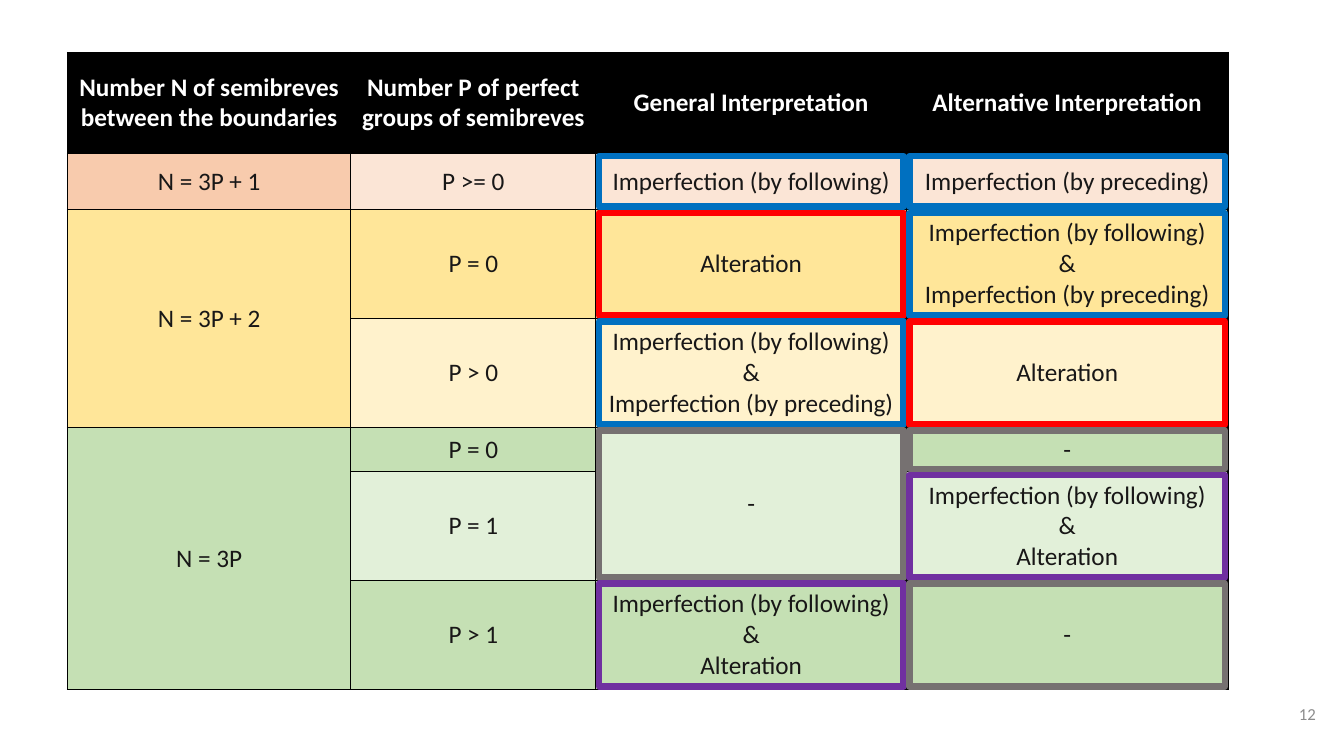
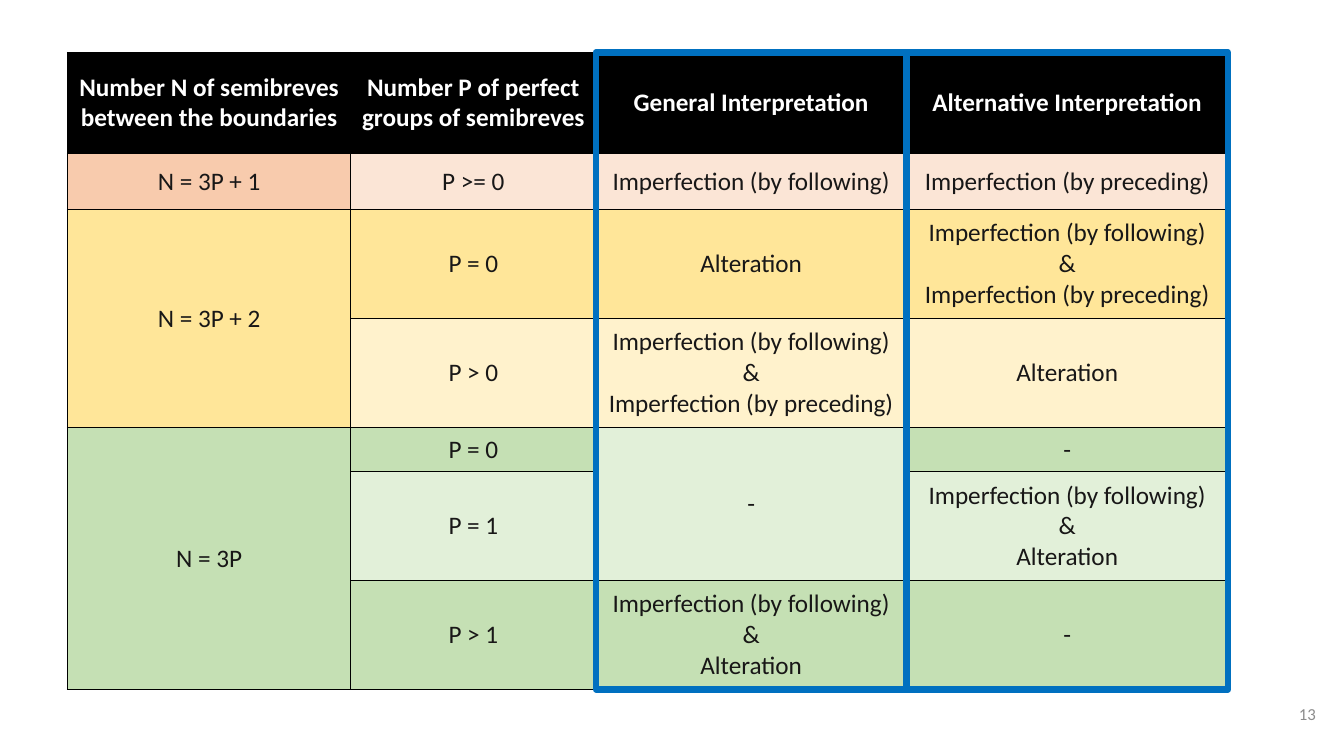
"""Build two slides on the interpretation of semibreve groups."""
from itertools import accumulate

from lxml import etree
from pptx import Presentation
from pptx.dml.color import RGBColor
from pptx.enum.shapes import MSO_SHAPE
from pptx.enum.text import MSO_ANCHOR, PP_ALIGN
from pptx.oxml.ns import qn
from pptx.util import Inches, Pt

RECT = MSO_SHAPE.RECTANGLE
MIDDLE = MSO_ANCHOR.MIDDLE
CENTER, RIGHT = PP_ALIGN.CENTER, PP_ALIGN.RIGHT

HUES = {
    "black": "000000", "white": "FFFFFF", "ink": "181717", "number": "8C8C8C",
    "peach": "F8CBAD", "blush": "FBE5D6", "gold": "FFE699", "cream": "FFF2CC",
    "green": "C5E0B4", "mint": "E2F0D9",
    "blue": "0070C0", "red": "FF0000", "purple": "7030A0", "gray": "767171",
}
LEFT, TOP = 0.67, 0.52
COLS = [2.81, 2.43, 3.08, 3.19]
ROWS = [1, 0.56, 1.08, 1.08, 0.44, 1.08, 1.08]
XS = list(accumulate(COLS, initial=LEFT))
YS = list(accumulate(ROWS, initial=TOP))

AFTER = "Imperfection (by following)"
BEFORE = "Imperfection (by preceding)"
BOTH = f"{AFTER}\n&\n{BEFORE}"
MIXED = f"{AFTER}\n&\nAlteration"
CELLS = [
    ("black", ["Number N of semibreves between the boundaries",
               "Number P of perfect groups of semibreves",
               "General Interpretation", "Alternative Interpretation"]),
    ("blush", ["N = 3P + 1", "P >= 0", AFTER, BEFORE]),
    ("gold", ["N = 3P + 2", "P = 0", "Alteration", BOTH]),
    ("cream", ["", "P > 0", BOTH, "Alteration"]),
    ("green", ["N = 3P", "P = 0", "-", "-"]),
    ("mint", ["", "P = 1", "", MIXED]),
    ("green", ["", "P > 1", MIXED, "-"]),
]
TINTS = {(1, 0): "peach", (4, 2): "mint"}
MERGES = [(2, 3, 0), (4, 6, 0), (4, 5, 2)]

MARKS = [
    (1, 1, 2, "blue"), (1, 1, 3, "blue"),
    (2, 2, 2, "red"), (2, 2, 3, "blue"),
    (3, 3, 2, "blue"), (3, 3, 3, "red"),
    (4, 5, 2, "gray"), (4, 4, 3, "gray"),
    (5, 5, 3, "purple"), (6, 6, 2, "purple"), (6, 6, 3, "gray"),
]
BANDS = [(0, 6, 2, "blue"), (0, 6, 3, "blue")]
PAGES = [("12", MARKS, 0.03), ("13", BANDS, 0)]


def write(frame, text, size=18, hue="ink", bold=False, align=CENTER):
    frame.word_wrap = True
    frame.text = text
    for para in frame.paragraphs:
        para.alignment = align
        para.font.name = "Calibri"
        para.font.size = Pt(size)
        para.font.bold = bold
        para.font.color.rgb = RGBColor.from_string(HUES[hue])


def edge(cell):
    props = cell._tc.get_or_add_tcPr()
    for side in ("lnL", "lnR", "lnT", "lnB"):
        line = etree.SubElement(props, qn(f"a:{side}"), w=str(Pt(1)))
        fill = etree.SubElement(line, qn("a:solidFill"))
        etree.SubElement(fill, qn("a:srgbClr"), val=HUES["black"])


prs = Presentation()
prs.slide_width, prs.slide_height = Inches(13.33), Inches(7.5)

for number, frames, inset in PAGES:
    slide = prs.slides.add_slide(prs.slide_layouts[6])

    table = slide.shapes.add_table(
        len(ROWS), len(COLS), Inches(LEFT), Inches(TOP),
        Inches(sum(COLS)), Inches(sum(ROWS))).table
    table.first_row = table.horz_banding = False
    for col, width in zip(table.columns, COLS):
        col.width = Inches(width)
    for row, height in zip(table.rows, ROWS):
        row.height = Inches(height)
    for r, (tint, texts) in enumerate(CELLS):
        for c, text in enumerate(texts):
            cell = table.cell(r, c)
            edge(cell)
            cell.fill.solid()
            cell.fill.fore_color.rgb = RGBColor.from_string(
                HUES[TINTS.get((r, c), tint)])
            cell.vertical_anchor = MIDDLE
            write(cell.text_frame, text, hue="ink" if r else "white", bold=r == 0)
    for first, last, c in MERGES:
        table.cell(first, c).merge(table.cell(last, c))

    box = slide.shapes.add_textbox(
        Inches(12.35), Inches(6.8), Inches(0.8), Inches(0.57))
    box.text_frame.vertical_anchor = MIDDLE
    write(box.text_frame, number, size=12, hue="number", align=RIGHT)

    for first, last, c, hue in frames:
        mark = slide.shapes.add_shape(
            RECT, Inches(XS[c] + inset), Inches(YS[first] + inset),
            Inches(COLS[c] - 2 * inset),
            Inches(YS[last + 1] - YS[first] - 2 * inset))
        mark.shadow.inherit = False
        mark.fill.background()
        mark.line.color.rgb = RGBColor.from_string(HUES[hue])
        mark.line.width = Pt(4.5)

prs.save("out.pptx")
